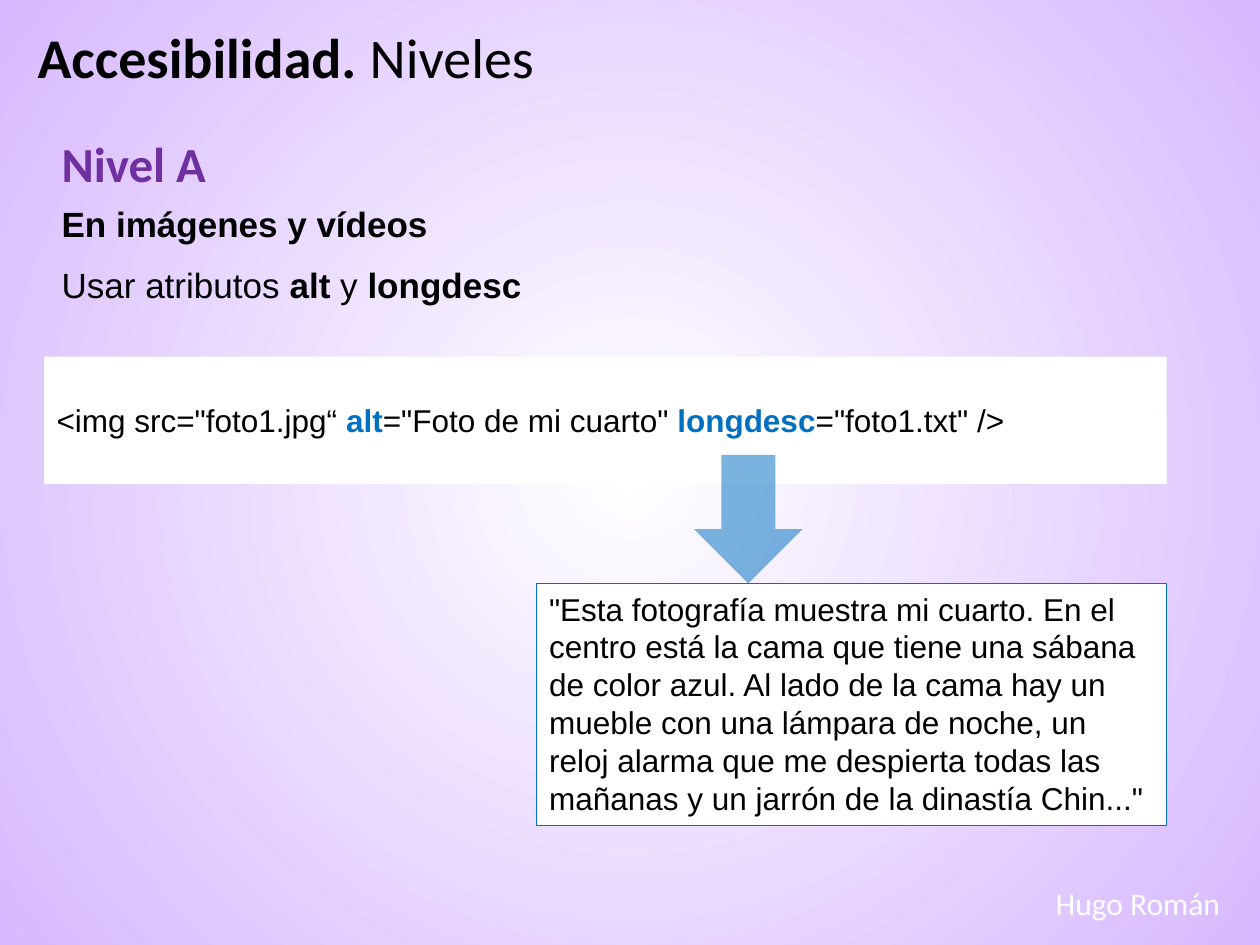
from lxml import etree
from pptx import Presentation
from pptx.dml.color import RGBColor
from pptx.enum.shapes import MSO_SHAPE
from pptx.enum.text import MSO_ANCHOR
from pptx.oxml.ns import qn
from pptx.util import Inches, Pt

RECTANGLE = MSO_SHAPE.RECTANGLE
DOWN_ARROW = MSO_SHAPE.DOWN_ARROW
TOP, MIDDLE = MSO_ANCHOR.TOP, MSO_ANCHOR.MIDDLE

WHITE = RGBColor(0xFF, 0xFF, 0xFF)
BLACK = RGBColor(0x00, 0x00, 0x00)
LILAC = RGBColor(0xD7, 0xB9, 0xFF)
PURPLE = RGBColor(0x70, 0x30, 0xA0)
BLUE = RGBColor(0x00, 0x70, 0xC0)
HEADING_FONT, BODY_FONT = "Calibri", "Arial"

# Grid of 100 columns by 75 rows; boxes are (left, top, width, height)
WIDTH, HEIGHT = Inches(10), Inches(7.5)
COLUMN, ROW = WIDTH / 100, HEIGHT / 75


def to_lengths(box):
    left, top, width, height = box
    return (round(left * COLUMN), round(top * ROW),
            round(width * COLUMN), round(height * ROW))


def write_runs(paragraph, runs, size, font):
    """Each run is (text, bold, color)."""
    for text, bold, color in runs:
        run = paragraph.add_run()
        run.text = text
        run.font.name = font
        run.font.size = Pt(size)
        run.font.bold = bold
        run.font.color.rgb = color


def add_text(slide, box, paragraphs, size, font, wrap=True):
    text_frame = slide.shapes.add_textbox(*to_lengths(box)).text_frame
    text_frame.word_wrap = wrap
    for index, runs in enumerate(paragraphs):
        paragraph = text_frame.paragraphs[0] if index == 0 else text_frame.add_paragraph()
        write_runs(paragraph, runs, size, font)
    return text_frame


def add_panel(slide, box, runs, anchor, line_color=None):
    panel = slide.shapes.add_shape(RECTANGLE, *to_lengths(box))
    panel.shadow.inherit = False
    panel.fill.solid()
    panel.fill.fore_color.rgb = WHITE
    if line_color is None:
        panel.line.fill.background()
    else:
        panel.line.color.rgb = line_color
        panel.line.width = Pt(0.75)
    text_frame = panel.text_frame
    text_frame.word_wrap = True
    text_frame.vertical_anchor = anchor
    paragraph = text_frame.paragraphs[0]
    paragraph.alignment = 1  # left
    write_runs(paragraph, runs, 18, BODY_FONT)


def paint_background(slide):
    """Radial gradient, white in the centre."""
    fill = slide.background.fill
    fill.gradient()
    for stop, position, color in zip(fill.gradient_stops, (0, 1), (WHITE, LILAC)):
        stop.position = position
        stop.color.rgb = color
    gradient = slide.background._cSld.find(".//" + qn("a:gradFill"))
    gradient.remove(gradient.find(qn("a:lin")))
    radial = etree.SubElement(gradient, qn("a:path"), path="circle")
    etree.SubElement(radial, qn("a:fillToRect"), l="50000", t="50000", r="50000", b="50000")


def add_title(slide, box):
    runs = [("Accesibilidad. ", True, BLACK), ("Niveles", False, BLACK)]
    add_text(slide, box, [runs], 32, HEADING_FONT, wrap=False)


def add_level(slide, box):
    """Level heading, with its two lines of advice below."""
    left, top, width, height = box
    heading = add_text(slide, (left, top, width, height / 2),
                       [[("Nivel A", True, PURPLE)]], 28, HEADING_FONT)
    heading.paragraphs[0].line_spacing = 1.5
    advice = add_text(slide, (left, top + 7.8, width, height - 7.8), [
        [("En imágenes y vídeos", True, BLACK)],
        [("Usar atributos ", False, BLACK), ("alt ", True, BLACK),
         ("y ", False, BLACK), ("longdesc", True, BLACK)],
    ], 20, BODY_FONT)
    advice.paragraphs[1].space_before = Pt(11)


def add_example(slide, box):
    """Code panel on top, description panel at bottom right, arrow between."""
    left, top, width, height = box
    add_panel(slide, (left, top, width, 10.1), [
        ('<img src="foto1.jpg“ ', False, BLACK), ("alt", True, BLUE),
        ('="Foto de mi cuarto" ', False, BLACK), ("longdesc", True, BLUE),
        ('="foto1.txt" />', False, BLACK),
    ], MIDDLE)

    note_width, note_height = 50, 19.2
    note_left = left + width - note_width
    note_top = top + height - note_height
    add_panel(slide, (note_left, note_top, note_width, note_height), [
        ('"Esta fotografía muestra mi cuarto. En el centro está la cama que '
         'tiene una sábana de color azul. Al lado de la cama hay un mueble con '
         'una lámpara de noche, un reloj alarma que me despierta todas las '
         'mañanas y un jarrón de la dinastía Chin..."', False, BLACK),
    ], TOP, BLUE)

    # Translucent arrow that ends on the description
    arrow_height = 10.2
    arrow = slide.shapes.add_shape(DOWN_ARROW, *to_lengths(
        (note_left + note_width / 4, note_top - arrow_height, 8.6, arrow_height)))
    arrow.shadow.inherit = False
    arrow.line.fill.background()
    arrow.fill.solid()
    arrow.fill.fore_color.rgb = BLUE
    color = arrow.element.spPr.find(qn("a:solidFill"))[0]
    etree.SubElement(color, qn("a:alpha"), val="52000")


def add_author(slide, box):
    add_text(slide, box, [[("Hugo Román", False, WHITE)]], 18, HEADING_FONT, wrap=False)


def main():
    presentation = Presentation()
    presentation.slide_width, presentation.slide_height = WIDTH, HEIGHT
    slide = presentation.slides.add_slide(presentation.slide_layouts[6])
    paint_background(slide)
    add_author(slide, (82.8, 69.7, 15.2, 4))
    add_title(slide, (2, 1.3, 41.7, 6.4))
    add_level(slide, (3.9, 7.8, 92.9, 17.2))
    add_example(slide, (3.5, 28.3, 89.1, 37.2))
    presentation.save("out.pptx")


if __name__ == "__main__":
    main()
